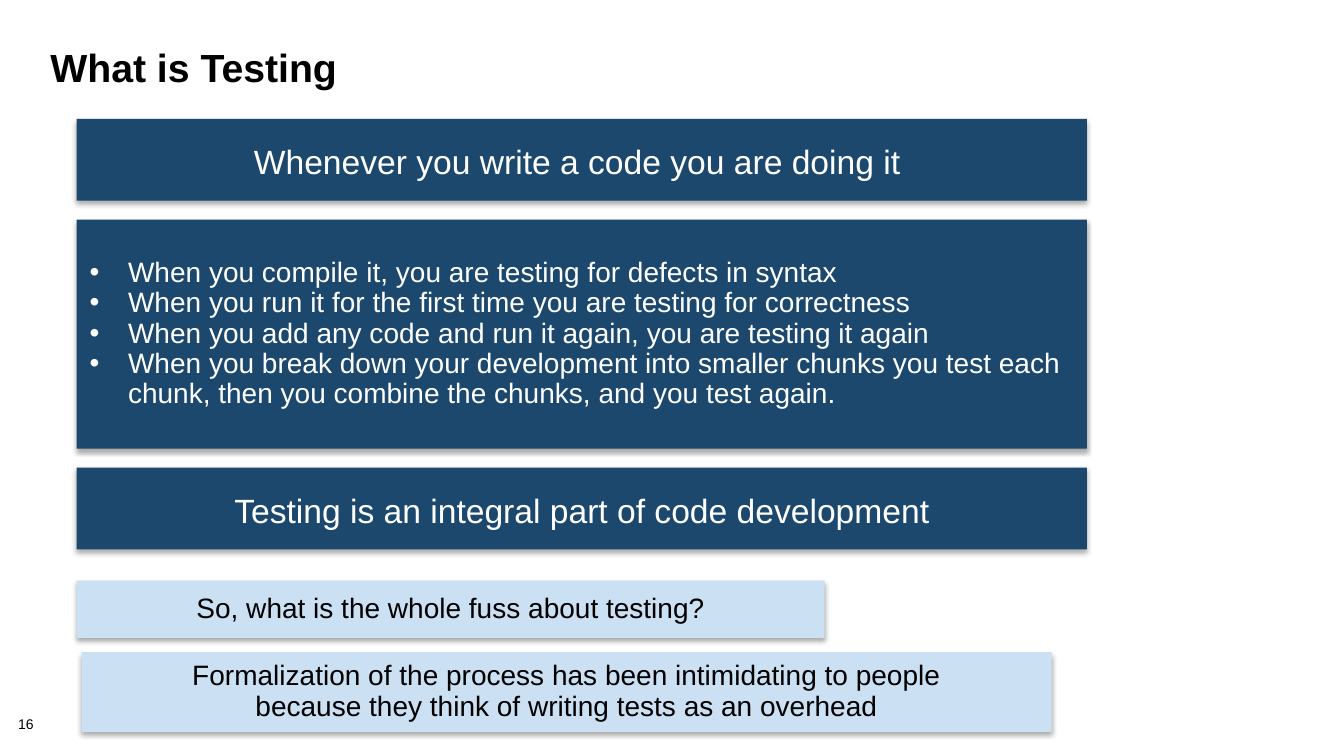
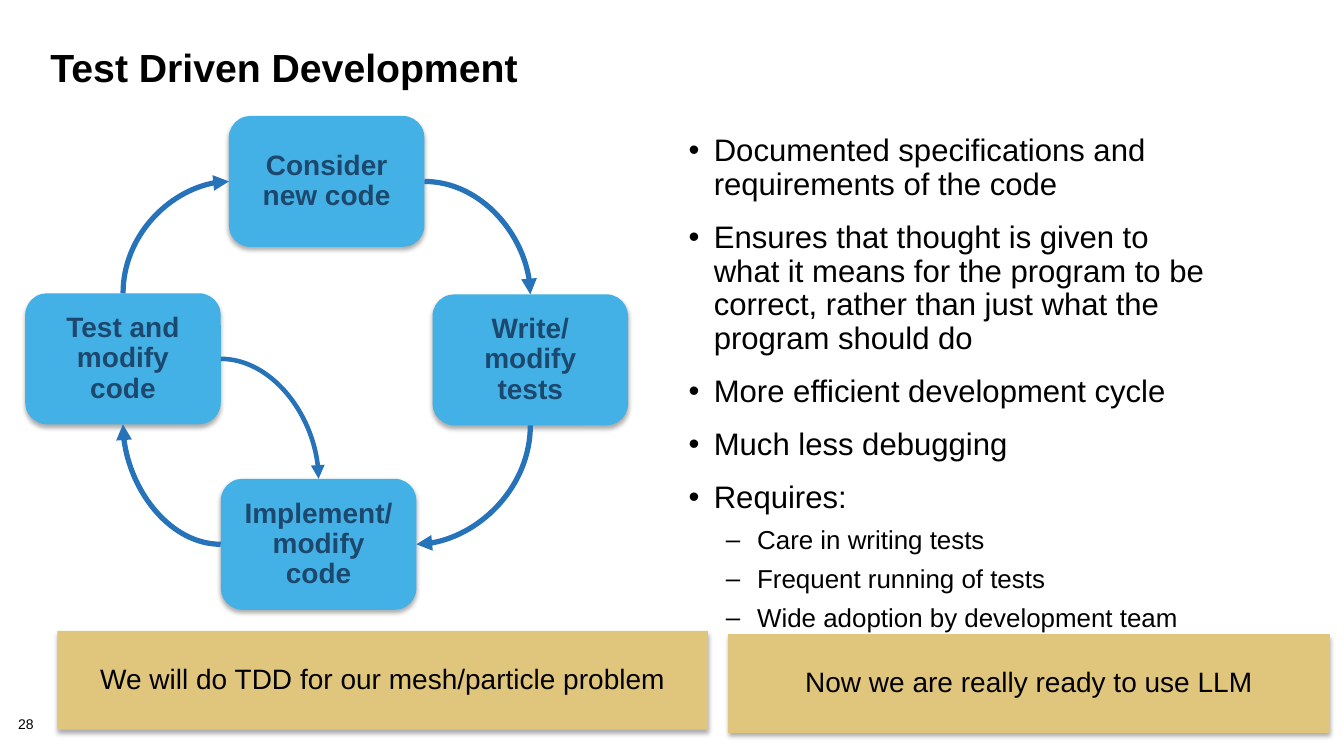
from dataclasses import dataclass

from lxml.etree import SubElement
from pptx import Presentation
from pptx.dml.color import RGBColor
from pptx.enum.shapes import MSO_CONNECTOR, MSO_SHAPE
from pptx.enum.text import MSO_ANCHOR, MSO_AUTO_SIZE, PP_ALIGN
from pptx.oxml.ns import qn
from pptx.util import Inches, Pt

FONT = "Arial"
NAVY, SKY, PALE, GOLD = "1D486E", "43B1E5", "CBE0F2", "E0C67D"
BLUE, BLACK, WHITE = "2673BA", "000000", "FFFFFF"
TOP, LEFT, BOTTOM, RIGHT = range(4)


@dataclass(frozen=True)
class Box:
    """A filled box with centred lines of text."""
    x: float
    y: float
    w: float
    h: float
    lines: tuple[str, ...]
    fill: str
    color: str = BLACK
    size: float = 20
    bold: bool = False
    kind: MSO_SHAPE = MSO_SHAPE.RECTANGLE
    inset_top: float = 0.07


@dataclass(frozen=True)
class Arrow:
    """A curved arrow between the sides of two steps."""
    start: str
    start_side: int
    end: str
    end_side: int
    width: float = 3.75


@dataclass(frozen=True)
class Level:
    """The look of one level of a bullet list."""
    char: str
    margin: float
    hang: float
    size: float
    before: float


def rgb(color):
    """Turn a hex string into a colour."""
    return RGBColor.from_string(color)


def place(shape, x: float, y: float, w: float, h: float) -> None:
    """Move and size a shape, in inches."""
    shape.left, shape.top = Inches(x), Inches(y)
    shape.width, shape.height = Inches(w), Inches(h)


def add_text(p, text: str, size: float, color: str = BLACK,
             bold: bool = False, spacing: float = 0.9) -> None:
    """Add one formatted run to a paragraph."""
    p.line_spacing = spacing
    r = p.add_run()
    r.text = text
    r.font.name, r.font.size, r.font.bold = FONT, Pt(size), bold
    r.font.color.rgb = rgb(color)


def set_frame(tf, x: float, top: float, bottom: float, anchor) -> None:
    """Set wrapping, insets and anchor of a text frame."""
    tf.word_wrap = True
    tf.auto_size = MSO_AUTO_SIZE.NONE
    tf.margin_left = tf.margin_right = Inches(x)
    tf.margin_top, tf.margin_bottom = Inches(top), Inches(bottom)
    tf.vertical_anchor = anchor


def style_panel(sp, fill: str) -> None:
    """Give a shape its fill, no outline and a soft shadow below."""
    sp.fill.solid()
    sp.fill.fore_color.rgb = rgb(fill)
    sp.line.fill.background()
    sp.shadow.inherit = False
    effects = sp._element.spPr.find(qn("a:effectLst"))
    shadow = SubElement(effects, qn("a:outerShdw"), blurRad=str(Pt(3.5)),
                        dist=str(Pt(2.2)), dir="5400000", rotWithShape="0")
    tint = SubElement(shadow, qn("a:srgbClr"), val=BLACK)
    SubElement(tint, qn("a:alpha"), val="32000")


def add_box(s, box: Box):
    """Draw a box and return its shape."""
    sp = s.shapes.add_shape(box.kind, Inches(box.x), Inches(box.y),
                            Inches(box.w), Inches(box.h))
    style_panel(sp, box.fill)
    tf = sp.text_frame
    set_frame(tf, 0.13, box.inset_top, 0.07, MSO_ANCHOR.MIDDLE)
    for i, line in enumerate(box.lines):
        p = tf.add_paragraph() if i else tf.paragraphs[0]
        p.alignment = PP_ALIGN.CENTER
        add_text(p, line, box.size, box.color, box.bold)
    return sp


def add_arrow(s, steps: dict, arrow: Arrow) -> None:
    """Draw a quarter-turn arrow glued to two steps."""
    c = s.shapes.add_connector(MSO_CONNECTOR.CURVE, 0, 0, 0, 0)
    c.begin_connect(steps[arrow.start], arrow.start_side)
    c.end_connect(steps[arrow.end], arrow.end_side)
    spPr = c._element.spPr
    spPr.find(qn("a:prstGeom")).set("prst", "curvedConnector2")
    if arrow.start_side in (TOP, BOTTOM):
        dx, dy = c.end_x - c.begin_x, c.end_y - c.begin_y
        mid_x, mid_y = c.begin_x + dx // 2, c.begin_y + dy // 2
        c.width, c.height = abs(dy), abs(dx)
        c.left, c.top = mid_x - abs(dy) // 2, mid_y - abs(dx) // 2
        xfrm = spPr.find(qn("a:xfrm"))
        xfrm.set("rot", "5400000")
        xfrm.set("flipH", str(int(dy < 0)))
        xfrm.set("flipV", str(int(dx > 0)))
    c.line.color.rgb = rgb(BLUE)
    c.line.width = Pt(arrow.width)
    SubElement(spPr.find(qn("a:ln")), qn("a:tailEnd"), type="triangle")
    SubElement(spPr, qn("a:effectLst"))


def fill_list(tf, items, levels: tuple[Level, ...], color: str) -> None:
    """Write (level, text) items as bullets."""
    for i, (depth, text) in enumerate(items):
        p = tf.add_paragraph() if i else tf.paragraphs[0]
        level = levels[depth]
        p.level = depth
        p.alignment = PP_ALIGN.LEFT
        p.space_before = Pt(level.before if i else 0)
        pPr = p._p.get_or_add_pPr()
        pPr.set("marL", str(Inches(level.margin)))
        pPr.set("indent", str(-Inches(level.hang)))
        tint = SubElement(pPr, qn("a:buClr"))
        SubElement(tint, qn("a:srgbClr"), val=color)
        SubElement(pPr, qn("a:buFont"), typeface=FONT)
        SubElement(pPr, qn("a:buChar"), char=level.char)
        add_text(p, text, level.size, color)


def new_slide(prs, title: str, number: int):
    """Add a slide with its title and page number; return it and its body."""
    s = prs.slides.add_slide(prs.slide_layouts[1])
    place(s.shapes.title, 0.4, 0.45, 12.44, 1)
    tf = s.shapes.title.text_frame
    set_frame(tf, 0.1, 0.05, 0.05, MSO_ANCHOR.TOP)
    tf.paragraphs[0].alignment = PP_ALIGN.LEFT
    add_text(tf.paragraphs[0], title, 28, bold=True, spacing=0.85)
    tb = s.shapes.add_textbox(Inches(0.18), Inches(7.12), Inches(0.56), Inches(0.16))
    set_frame(tb.text_frame, 0, 0, 0, MSO_ANCHOR.TOP)
    add_text(tb.text_frame.paragraphs[0], str(number), 10)
    return s, s.placeholders[1]


def build_testing(prs) -> None:
    """Build the slide on what testing is."""
    s, body = new_slide(prs, "What is Testing", 16)
    place(body, 0.76, 2.18, 10.02, 2.27)
    style_panel(body, NAVY)
    set_frame(body.text_frame, 0.13, 0.07, 0.07, MSO_ANCHOR.MIDDLE)
    items = (
        "When you compile it, you are testing for defects in syntax",
        "When you run it for the first time you are testing for correctness",
        "When you add any code and run it again, you are testing it again",
        "When you break down your development into smaller chunks you test each "
        "chunk, then you combine the chunks, and you test again.",
    )
    fill_list(body.text_frame, [(0, t) for t in items],
              (Level("•", 0.38, 0.38, 20, 0),), WHITE)
    banners = ((1.18, "Whenever you write a code you are doing it "),
               (4.64, "Testing is an integral part of code development"))
    for y, text in banners:
        add_box(s, Box(0.76, y, 10.02, 0.81, (text,), NAVY, WHITE, 24, inset_top=0.14))
    add_box(s, Box(0.76, 5.76, 7.42, 0.57,
                   ("So, what is the whole fuss about testing?",), PALE))
    add_box(s, Box(0.81, 6.47, 9.62, 0.79,
                   ("Formalization of the process has been intimidating to people",
                    "because they think of writing tests as an overhead"), PALE))


def build_tdd(prs) -> None:
    """Build the slide on test driven development."""
    s, body = new_slide(prs, "Test Driven Development", 28)
    place(body, 6.73, 1.29, 5.38, 5.09)
    set_frame(body.text_frame, 0.1, 0.05, 0.05, MSO_ANCHOR.TOP)
    items = (
        (0, "Documented specifications and requirements of the code"),
        (0, "Ensures that thought is given to what it means for the program to be "
            "correct, rather than just what the program should do"),
        (0, "More efficient development cycle"),
        (0, "Much less debugging"),
        (0, "Requires:"),
        (1, "Care in writing tests"),
        (1, "Frequent running of tests"),
        (1, "Wide adoption by development team"),
    )
    levels = (Level("•", 0.25, 0.25, 22.2, 14), Level("–", 0.68, 0.31, 18.5, 8))
    fill_list(body.text_frame, items, levels, BLACK)

    cycle = {
        "consider": (2.27, 1.15, ("Consider new code",)),
        "implement": (2.19, 4.75, ("Implement/modify code",)),
        "write": (4.29, 2.92, ("Write/", "modify tests")),
        "test": (0.25, 2.91, ("Test and modify code",)),
    }
    steps = {
        name: add_box(s, Box(x, y, 1.94, 1.3, lines, SKY, NAVY, bold=True,
                             kind=MSO_SHAPE.ROUNDED_RECTANGLE))
        for name, (x, y, lines) in cycle.items()
    }
    arrows = (
        Arrow("consider", RIGHT, "write", TOP),
        Arrow("write", BOTTOM, "implement", RIGHT),
        Arrow("implement", LEFT, "test", BOTTOM),
        Arrow("test", TOP, "consider", LEFT),
        Arrow("test", RIGHT, "implement", TOP, 3.25),
    )
    for arrow in arrows:
        add_arrow(s, steps, arrow)
    add_box(s, Box(0.57, 6.26, 6.45, 0.98,
                   ("We will do TDD for our mesh/particle problem",), GOLD))
    add_box(s, Box(7.22, 6.29, 5.97, 0.98,
                   ("Now we are really ready to use LLM",), GOLD))


def main() -> None:
    """Build and save the presentation."""
    prs = Presentation()
    prs.slide_width, prs.slide_height = Inches(13.33), Inches(7.5)
    build_testing(prs)
    build_tdd(prs)
    prs.save("out.pptx")


if __name__ == "__main__":
    main()
